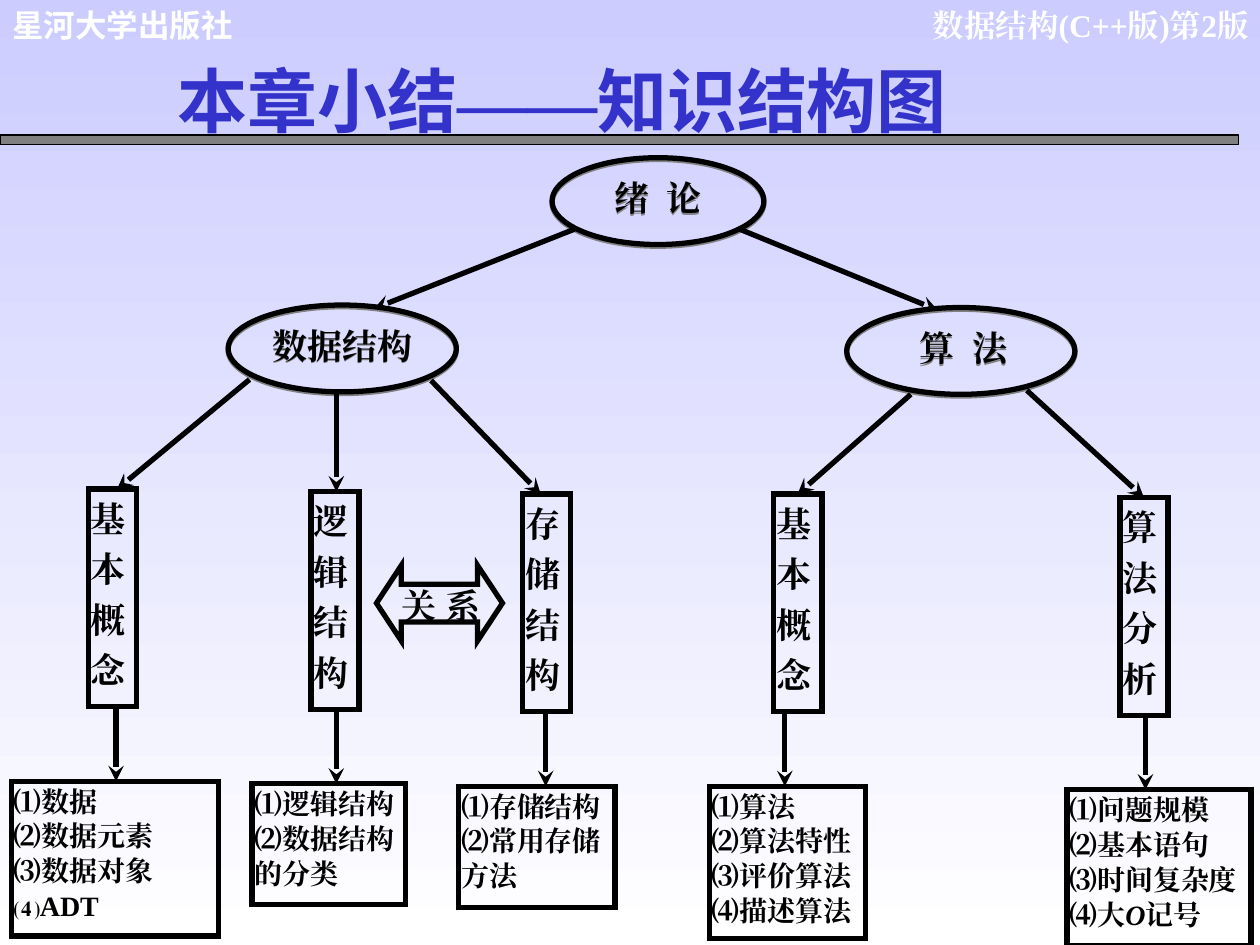
from lxml import etree
from pptx import Presentation
from pptx.dml.color import RGBColor
from pptx.enum.shapes import MSO_CONNECTOR, MSO_SHAPE
from pptx.enum.text import MSO_ANCHOR, MSO_AUTO_SIZE, PP_ALIGN
from pptx.oxml.ns import qn
from pptx.util import Cm, Pt

LINE = MSO_CONNECTOR.STRAIGHT
RECT, OVAL, ARROW = MSO_SHAPE.RECTANGLE, MSO_SHAPE.OVAL, MSO_SHAPE.LEFT_RIGHT_ARROW
LEFT, RIGHT, MID, JUST = PP_ALIGN.LEFT, PP_ALIGN.RIGHT, PP_ALIGN.CENTER, PP_ALIGN.JUSTIFY

HUES = {
    "top": "CCCCFF", "base": "FFFFFF", "head": "FFFFFF",
    "title": "3333CC", "ink": "000000", "grey": "808080",
}
TIMES = "Times New Roman"
NOTO = "Noto Sans CJK SC"
SIDES = ("margin_left", "margin_top", "margin_right", "margin_bottom")
INSET = (0.25, 0.13, 0.25, 0.13)


def rgb(key):
    return RGBColor.from_string(HUES[key])


class Sheet:
    def __init__(self, deck):
        self.page = deck.slides.add_slide(deck.slide_layouts[5])
        self.pen = Pt(3)
        fill = self.page.background.fill
        fill.gradient()
        fill.gradient_angle = 270
        for stop, key in zip(fill.gradient_stops, ("top", "base")):
            stop.color.rgb = rgb(key)

    def words(self, shape, rows, size=20, hue="ink", face=TIMES, align=JUST,
              space=1.0, inset=INSET, gap=0):
        frame = shape.text_frame
        look = {"word_wrap": True, "auto_size": MSO_AUTO_SIZE.NONE,
                "vertical_anchor": MSO_ANCHOR.TOP}
        look.update(zip(SIDES, map(Cm, inset)))
        for name, value in look.items():
            setattr(frame, name, value)
        for i, row in enumerate(rows):
            para = frame.add_paragraph() if i else frame.paragraphs[0]
            para.alignment, para.line_spacing = align, space
            for part in [(row, {})] if isinstance(row, str) else row:
                run = para.add_run()
                run.text = part[0]
                style = {"name": face, "size": Pt(size), "bold": True, **part[1]}
                for name, value in style.items():
                    setattr(run.font, name, value)
                run.font.color.rgb = rgb(hue)
                props = run._r.get_or_add_rPr()
                etree.SubElement(props, qn("a:ea"), typeface=style["name"])
                if gap:
                    props.set("spc", str(gap))

    def place(self, shape, box):
        for name, value in zip(("left", "top", "width", "height"), box):
            setattr(shape, name, Cm(value))

    def title(self, box, row):
        shape = self.page.shapes.title
        self.place(shape, box)
        self.words(shape, [row], 40, "title", NOTO, LEFT)

    def label(self, box, text, **style):
        shape = self.page.shapes.add_textbox(*map(Cm, box))
        self.words(shape, [text], size=18, hue="head", **style)

    def bar(self, box):
        shape = self.page.shapes.add_shape(RECT, *map(Cm, box))
        shape.shadow.inherit = False
        shape.fill.solid()
        shape.fill.fore_color.rgb = rgb("grey")
        shape.line.color.rgb = rgb("ink")
        shape.line.width = Pt(0.75)

    def node(self, kind, box, rows, **style):
        shape = self.page.shapes.add_shape(kind, *map(Cm, box))
        shape.shadow.inherit = False
        shape.fill.background()
        shape.line.color.rgb = rgb("ink")
        shape.line.width = self.pen
        etree.SubElement(shape.line._get_or_add_ln(), qn("a:miter"), lim="800000")
        self.words(shape, rows, **style)
        return shape

    def oval(self, box, text, **style):
        shape = self.node(OVAL, box, [text], align=MID, **style)
        effects = shape._element.spPr.find(qn("a:effectLst"))
        shade = etree.SubElement(effects, qn("a:outerShdw"), blurRad="0",
                                 dist="12700", dir="5400000")
        etree.SubElement(shade, qn("a:srgbClr"), val=HUES["grey"])

    def arrow(self, *ends):
        link = self.page.shapes.add_connector(LINE, *map(Cm, ends))
        link.line.color.rgb = rgb("ink")
        link.line.width = self.pen
        etree.SubElement(link.line._get_or_add_ln(), qn("a:tailEnd"), type="stealth")
        etree.SubElement(link._element.spPr, qn("a:effectLst"))

    def branch(self, text, x, y, start, tip, stem, left, wide, high, rows):
        tall, drop = 4.39, 5.89
        self.arrow(*start, tip, y)
        self.node(RECT, (x, y, 0.97, tall), [text], space=1.2,
                  inset=(0.05, 0, 0.05, 0))
        self.arrow(stem, y + tall, stem, y + drop)
        self.node(RECT, (left, y + drop, wide, high), rows, size=16, space=1.04,
                  inset=(0.05, 0.03, 0.05, 0.03))


BRANCHES = [
    ("基本概念", 1.78, 9.86, (5.03, 7.65), 2.36, 2.34, 0.23, 4.17, 3.12,
     ["⑴数据", "⑵数据元素", "⑶数据对象", "⑷ADT"]),
    ("逻辑结构", 6.27, 9.91, (6.78, 7.92), 6.78, 6.78, 5.08, 3.1, 2.44,
     ["⑴逻辑结构", "⑵数据结构", "的分类"]),
    ("存储结构", 10.54, 9.96, (8.69, 7.67), 10.9, 11, 9.25, 3.15, 2.44,
     ["⑴存储结构", "⑵常用存储", "方法"]),
    ("基本概念", 15.6, 9.96, (18.36, 7.95), 16.08, 15.82, 14.3, 3.15, 3.07,
     ["⑴算法", "⑵算法特性", "⑶评价算法", "⑷描述算法"]),
    ("算法分析", 22.58, 10.03, (20.7, 7.87), 23.06, 23.09, 21.51, 3.71, 3.15,
     ["⑴问题规模", "⑵基本语句", "⑶时间复杂度",
      [("⑷大", {}), ("O", {"italic": True}), ("记号", {})]]),
]


def main():
    deck = Presentation()
    deck.slide_width, deck.slide_height = Cm(25.4), Cm(19.05)
    sheet = Sheet(deck)
    sheet.label((18.34, 0, 6.83, 1.78), "数据结构(C++版)第2版", align=RIGHT,
                inset=(0, 0.13, 0, 0.13))
    sheet.label((0, 0, 6.88, 1.02), "星河大学出版社", face="Arial", align=LEFT)
    sheet.bar((0, 2.72, 24.97, 0.2))
    sheet.title((3.33, 1.02, 18.82, 1.96),
                [("本章小结", {}), ("——", {"name": TIMES}), ("知识结构图", {})])

    sheet.oval((11.13, 3.18, 4.27, 1.75), "绪 论", gap=250)
    sheet.oval((4.6, 6.15, 4.6, 1.75), "数据结构", inset=(0.15, 0.13, 0.15, 0.13))
    sheet.oval((17.07, 6.2, 4.6, 1.75), "算 法", gap=250,
               inset=(0.36, 0.13, 0.25, 0.13))
    sheet.arrow(11.58, 4.62, 7.54, 6.22)
    sheet.arrow(14.91, 4.62, 18.9, 6.25)

    for branch in BRANCHES:
        sheet.branch(*branch)

    both = sheet.node(ARROW, (7.59, 11.4, 2.54, 1.52), ["关 系"],
                      inset=(0.25, 0, 0, 0))
    both.adjustments[0], both.adjustments[1] = 0.5, 0.33
    deck.save("out.pptx")


if __name__ == "__main__":
    main()
